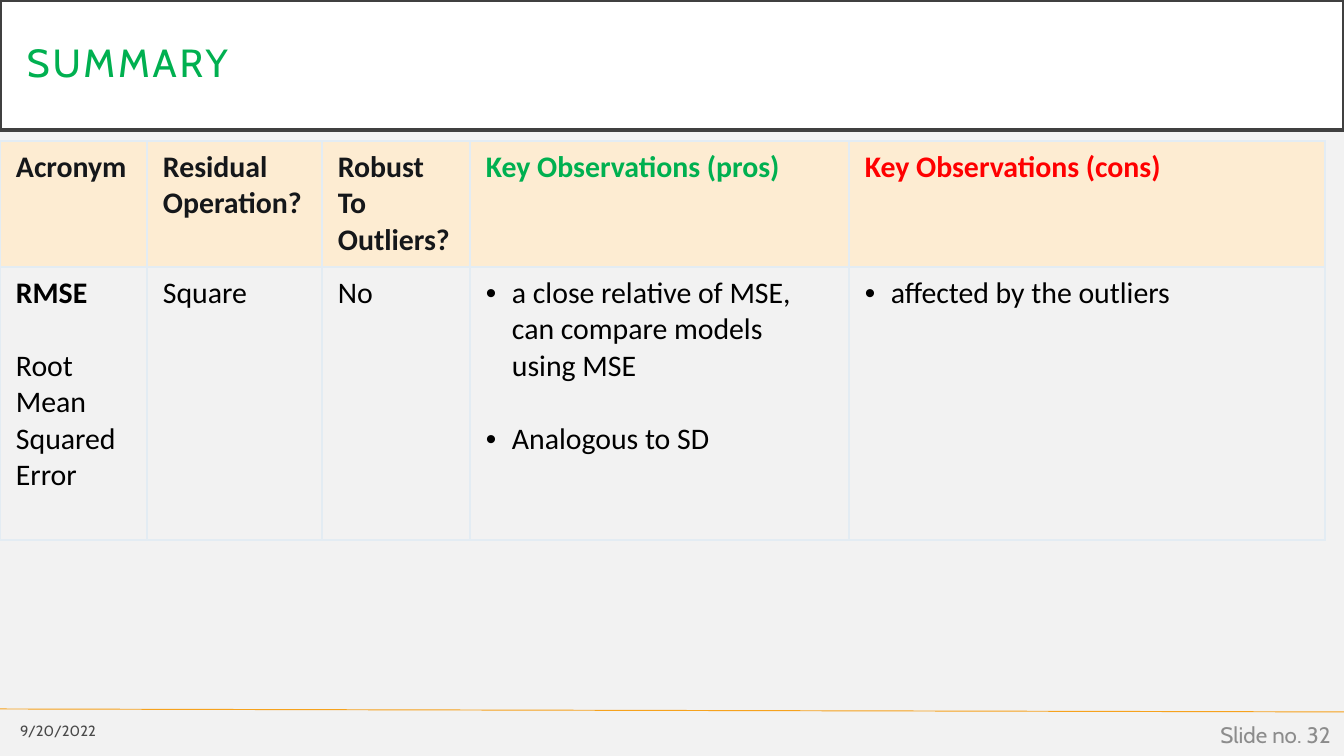
import pptx
import pptx.dml.color
import pptx.enum.shapes
import pptx.enum.text
import pptx.oxml
import pptx.oxml.ns
import pptx.util
from lxml import etree

PX = 914400 / 134.4
ALIGN = pptx.enum.text.PP_ALIGN
MIDDLE = pptx.enum.text.MSO_ANCHOR.MIDDLE
COLUMNS = [147, 175, 148, 379, 476]
ROWS = [126, 273]
HEADINGS = [
    ("Acronym", "15171A"),
    ("Residual Operation?", "15171A"),
    ("Robust To Outliers?", "15171A"),
    ("Key Observations (pros)", "00B050"),
    ("Key Observations (cons)", "FF0000"),
]
ACRONYM = ["RMSE", "Root Mean Squared Error"]
OPERATION = ["Square"]
ROBUST = ["No"]
PROS = ["a close relative of MSE, can compare models using MSE", "Analogous to SD"]
CONS = ["affected by the outliers"]


def px(length):
    return pptx.util.Emu(round(length * PX))


def box_px(box):
    return [px(length) for length in box]


def rgb(value):
    return pptx.dml.color.RGBColor.from_string(value)


def apply(target, values):
    for name, value in values.items():
        setattr(target, name, value)


def add_child(parent, tag, **attributes):
    return etree.SubElement(parent, pptx.oxml.ns.qn(tag), attributes)


def write(paragraph, text, size, color, font="Calibri", bold=False):
    run = paragraph.add_run()
    run.text = text
    apply(run.font, {"size": pptx.util.Pt(size), "name": font, "bold": bold})
    run.font.color.rgb = rgb(color)
    return run


def add_title(slide, box, text):
    banner = slide.shapes.add_shape(pptx.enum.shapes.MSO_SHAPE.RECTANGLE, *box_px(box))
    banner.shadow.inherit = False
    banner.fill.solid()
    banner.fill.fore_color.rgb = rgb("FFFFFF")
    banner.line.color.rgb = rgb("404040")
    banner.line.width = pptx.util.Pt(2.5)
    sides = ["margin_left", "margin_right", "margin_top", "margin_bottom"]
    apply(banner.text_frame, dict.fromkeys(sides, px(27)))
    apply(banner.text_frame, {"word_wrap": True, "vertical_anchor": MIDDLE})
    heading = banner.text_frame.paragraphs[0]
    apply(heading, {"alignment": ALIGN.LEFT, "line_spacing": 0.9})
    run = write(heading, text, 21, "00B050", "Cabin")
    run.font._element.set("spc", "150")


def add_label(slide, box, text, size, color):
    label = slide.shapes.add_textbox(*box_px(box)).text_frame
    apply(label, {"word_wrap": True, "vertical_anchor": MIDDLE})
    label.paragraphs[0].alignment = ALIGN.RIGHT
    write(label.paragraphs[0], text, size, color, "Cabin")


def add_footer(slide, box):
    left, top, width, height = box
    rule = slide.shapes.add_connector(
        pptx.enum.shapes.MSO_CONNECTOR.STRAIGHT,
        *box_px([left, top, left + width, top + 3]),
    )
    rule.line.color.rgb = rgb("F6A21D")
    rule.line.width = pptx.util.Pt(0.5)
    add_child(rule._element.spPr, "a:effectLst")
    add_label(slide, [left, top + 4, 109, 36], "9/20/2022", 7.9, "494949")
    add_label(slide, [left + width - 302, top + 6, 302, 40], "Slide no. 32", 12, "8C8C8C")


def style_cell(cell, fill=None):
    apply(cell, {"margin_left": px(16), "margin_right": px(16),
                 "margin_top": px(8), "margin_bottom": px(8)})
    properties = cell._tc.get_or_add_tcPr()
    for side in ("a:lnL", "a:lnR", "a:lnT", "a:lnB"):
        border = add_child(properties, side, w="9525")
        add_child(add_child(border, "a:solidFill"), "a:srgbClr", val="E3ECF3")
    if fill:
        cell.fill.solid()
        cell.fill.fore_color.rgb = rgb(fill)
    else:
        cell.fill.background()


def fill_cell(cell, texts, bulleted=False, bold_first=False):
    style_cell(cell)
    for index, text in enumerate(texts):
        frame = cell.text_frame
        paragraph = frame.add_paragraph() if index else frame.paragraphs[0]
        if index:
            paragraph.space_before = pptx.util.Pt(19.5)
        if bulleted:
            properties = paragraph._p.get_or_add_pPr()
            apply_indent = {"marL": str(px(26)), "indent": str(-px(26))}
            for name, value in apply_indent.items():
                properties.set(name, value)
            add_child(properties, "a:buFont", typeface="Arial")
            add_child(properties, "a:buChar", char="•")
        write(paragraph, text, 16, "000000", bold=bold_first and index == 0)


def add_metrics(slide, box):
    metrics = slide.shapes.add_table(len(ROWS), len(COLUMNS), *box_px(box)).table
    apply(metrics, {"first_row": False, "horz_banding": False})
    for column, width in zip(metrics.columns, COLUMNS):
        column.width = px(width)
    for row, height in zip(metrics.rows, ROWS):
        row.height = px(height)
    for index, (heading, color) in enumerate(HEADINGS):
        cell = metrics.cell(0, index)
        style_cell(cell, "FDECD2")
        write(cell.text_frame.paragraphs[0], heading, 16, color, bold=True)
    fill_cell(metrics.cell(1, 0), ACRONYM, bold_first=True)
    fill_cell(metrics.cell(1, 1), OPERATION)
    fill_cell(metrics.cell(1, 2), ROBUST)
    fill_cell(metrics.cell(1, 3), PROS, bulleted=True)
    fill_cell(metrics.cell(1, 4), CONS, bulleted=True)


def main():
    deck = pptx.Presentation()
    apply(deck, {"slide_width": px(1344), "slide_height": px(756)})
    slide = deck.slides.add_slide(deck.slide_layouts[6])
    slide.background.fill.solid()
    slide.background.fill.fore_color.rgb = rgb("F2F2F2")
    add_footer(slide, [0, 709, 1344, 47])
    add_title(slide, [0, 0, 1344, 130], "SUMMARY")
    add_metrics(slide, [0, 141, sum(COLUMNS), sum(ROWS)])
    deck.save("out.pptx")


if __name__ == "__main__":
    main()
